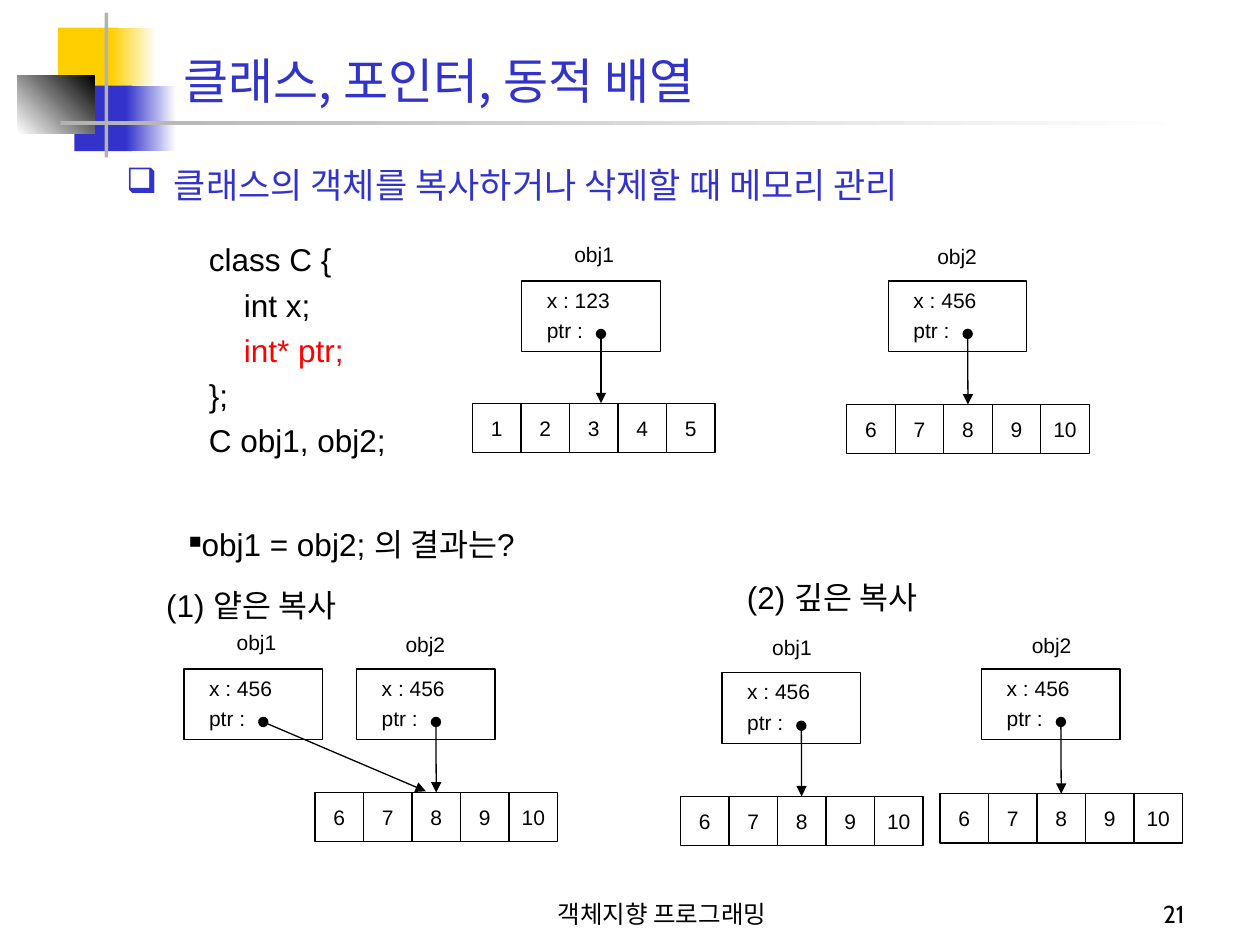
from lxml import etree
from pptx import Presentation, util as u
from pptx.dml.color import RGBColor
from pptx.enum import shapes, text
from pptx.oxml.ns import qn

INK = {"blue": "3333CC", "gold": "FFCF01", "gray": "B2B2B2",
       "white": "FFFFFF", "black": "000000", "red": "FF0000"}
KOR = "Noto Sans CJK KR"

# Master decoration: place, colour, end colour of a gradient, angle
DECOR = [
    ((0.46, 0.22, 0.48, 0.52), "gold", None, 0),
    ((0.88, 0.22, 0.36, 0.52), "gold", "white", 0),
    ((0.59, 0.68, 0.46, 0.52), "blue", None, 0),
    ((1, 0.68, 0.4, 0.52), "blue", "white", 0),
    ((0.14, 0.6, 0.61, 0.46), "white", "black", 45),
    ((0.83, 0.1, 0.03, 1.15), "gray", None, 0),
    ((0.48, 0.96, 9, 0.03), "gray", "white", 0),
]
TITLE = "클래스, 포인터, 동적 배열"
TOPIC = "클래스의 객체를 복사하거나 삭제할 때 메모리 관리"
CODE = [("class C {", "black"), ("    int x;", "black"),
        ("    int* ptr;", "red"), ("};", "black"),
        ("C obj1, obj2;", "black")]
HEADS = [("(1) 얕은 복사", (1.22, 4.6, 1.66, 0.4)),
         ("(2) 깊은 복사", (5.83, 4.54, 1.66, 0.4))]
ASK = "obj1 = obj2; 의 결과는?"
FOOT = [("객체지향 프로그래밍", (3.67, 6.92, 3.17, 0.5), "CENTER"),
        ("21", (7.42, 6.92, 2.08, 0.5), "RIGHT")]

# Arrays: left, top, values
ONE, SIX = range(1, 6), range(6, 11)
ARRAYS = {"first": (3.75, 3.2, ONE), "second": (6.72, 3.21, SIX),
          "shared": (2.5, 6.29, SIX), "deep1": (5.4, 6.32, SIX),
          "deep2": (7.46, 6.3, SIX)}
# Objects: name, label corner, box corner, x, array, free arrow end
OBJS = [
    ("obj1", (4.46, 1.87), (4.14, 2.23), 123, "first", (4.77, 3.2)),
    ("obj2", (7.34, 1.88), (7.05, 2.23), 456, "second", None),
    ("obj1", (1.78, 4.95), (1.46, 5.31), 456, "shared", (3.38, 6.28)),
    ("obj2", (3.12, 4.96), (2.83, 5.31), 456, "shared", None),
    ("obj1", (6.03, 4.99), (5.73, 5.34), 456, "deep1", None),
    ("obj2", (8.09, 4.97), (7.79, 5.31), 456, "deep2", None),
]
CELL_W, CELL_H = 0.385, 0.39
BOX_W, BOX_H = 1.1, 0.56
DOT_X, DOT_Y = 0.63, 0.42

prs = Presentation()
prs.slide_width, prs.slide_height = u.Inches(10), u.Inches(7.5)
page = prs.slides.add_slide(prs.slide_layouts[5])


def rgb(name):
    return RGBColor.from_string(INK[name])


def inch(vals):
    return [u.Inches(v) for v in vals]


def write(frame, lines, size, font="Arial", pad=(0.1, 0.05, 0.1, 0.05),
          anchor="TOP", align="LEFT", wrap=False, left=0, first=0,
          bullet=None, scale=100):
    """Fill a text frame with (text, colour) lines."""
    sides = zip(("left", "top", "right", "bottom"), inch(pad))
    fmt = {"margin_" + side: gap for side, gap in sides}
    fmt.update(word_wrap=wrap, auto_size=text.MSO_AUTO_SIZE.NONE,
               vertical_anchor=getattr(text.MSO_ANCHOR, anchor))
    for key, val in fmt.items():
        setattr(frame, key, val)
    for i, (line, ink) in enumerate(lines):
        par = frame.add_paragraph() if i else frame.paragraphs[0]
        par.alignment = getattr(text.PP_ALIGN, align)
        par.space_before = u.Pt(round(size * 0.235, 1) if i else 0)
        prop = par._p.get_or_add_pPr()
        prop.set("marL", str(u.Inches(left)))
        prop.set("indent", str(u.Inches(first)))
        if bullet:
            tint = etree.SubElement(prop, qn("a:buClr"))
            etree.SubElement(tint, qn("a:srgbClr"), val=INK[ink])
            etree.SubElement(prop, qn("a:buSzPct"), val=str(scale * 1000))
            etree.SubElement(prop, qn("a:buChar"), char=bullet)
        run = par.add_run()
        run.text = line
        for key, val in {"size": u.Pt(size), "name": font}.items():
            setattr(run.font, key, val)
        run.font.color.rgb = rgb(ink)
        etree.SubElement(run._r.get_or_add_rPr(), qn("a:ea"), typeface=KOR)


def label(place, lines, size, **fmt):
    box = page.shapes.add_textbox(*inch(place))
    write(box.text_frame, lines, size, **fmt)


def rect(place):
    box = page.shapes.add_shape(shapes.MSO_SHAPE.RECTANGLE, *inch(place))
    box.shadow.inherit = False
    return box


def frame_box(place, lines, **fmt):
    box = rect(place)
    box.fill.background()
    box.line.color.rgb = rgb("black")
    box.line.width = u.Pt(0.75)
    write(box.text_frame, lines, 12, **fmt)
    return box


def arrow(start, end, cell=None):
    line = page.shapes.add_connector(shapes.MSO_CONNECTOR.STRAIGHT,
                                     *inch(start + end))
    if cell is not None:
        line.end_connect(cell, 0)
    line.line.color.rgb = rgb("black")
    line.line.width = u.Pt(0.75)
    ln = line.line._get_or_add_ln()
    etree.SubElement(ln, qn("a:headEnd"), type="oval")
    etree.SubElement(ln, qn("a:tailEnd"), type="triangle")
    etree.SubElement(line._element.spPr, qn("a:effectLst"))


# Decoration
for place, ink, fade, angle in DECOR:
    bar = rect(place)
    bar.line.fill.background()
    if fade:
        bar.fill.gradient()
        bar.fill.gradient_angle = angle
        for stop, name in zip(bar.fill.gradient_stops, (ink, fade)):
            stop.color.rgb = rgb(name)
    else:
        bar.fill.solid()
        bar.fill.fore_color.rgb = rgb(ink)

# Title, topic and code
title = page.shapes.title
title.left, title.top, title.width, title.height = inch((1.36, 0.18, 8.52, 0.74))
write(title.text_frame, [(TITLE, "blue")], 28, font=KOR,
      anchor="BOTTOM", wrap=True)
label((1, 1.25, 8.79, 0.5), [(TOPIC, "blue")], 20, wrap=True,
      pad=(0, 0.05, 0.1, 0.05), left=0.38, first=-0.38, bullet="❑")
label((1.56, 1.86, 1.62, 1.86), CODE, 18)

# Arrays
mids = {}
for key, (x, y, vals) in ARRAYS.items():
    cells = [frame_box((x + i * CELL_W, y, CELL_W, CELL_H),
                       [(str(val), "black")], pad=(0, 0, 0, 0),
                       anchor="MIDDLE", align="CENTER")
             for i, val in enumerate(vals)]
    mids[key] = cells[2]

# Objects and their pointers
for name, (lx, ly), (x, y), num, key, end in OBJS:
    label((lx, ly, 0.52, 0.3), [(name, "black")], 12)
    frame_box((x, y, BOX_W, BOX_H),
              [(f"x : {num}", "black"), ("ptr :", "black")],
              pad=(0, 0.05, 0.1, 0.05), left=0.2, wrap=True)
    dot = (x + DOT_X, y + DOT_Y)
    arrow(dot, end or dot, None if end else mids[key])

# Question, headings and footer
label((1.11, 4.12, 3.1, 0.4), [(ASK, "black")], 18, first=0.29,
      bullet="■", scale=55)
for words, place in HEADS:
    label(place, [(words, "black")], 18)
for words, place, side in FOOT:
    label(place, [(words, "black")], 14, font="Cabin", anchor="BOTTOM",
          align=side, wrap=True)

prs.save("out.pptx")
